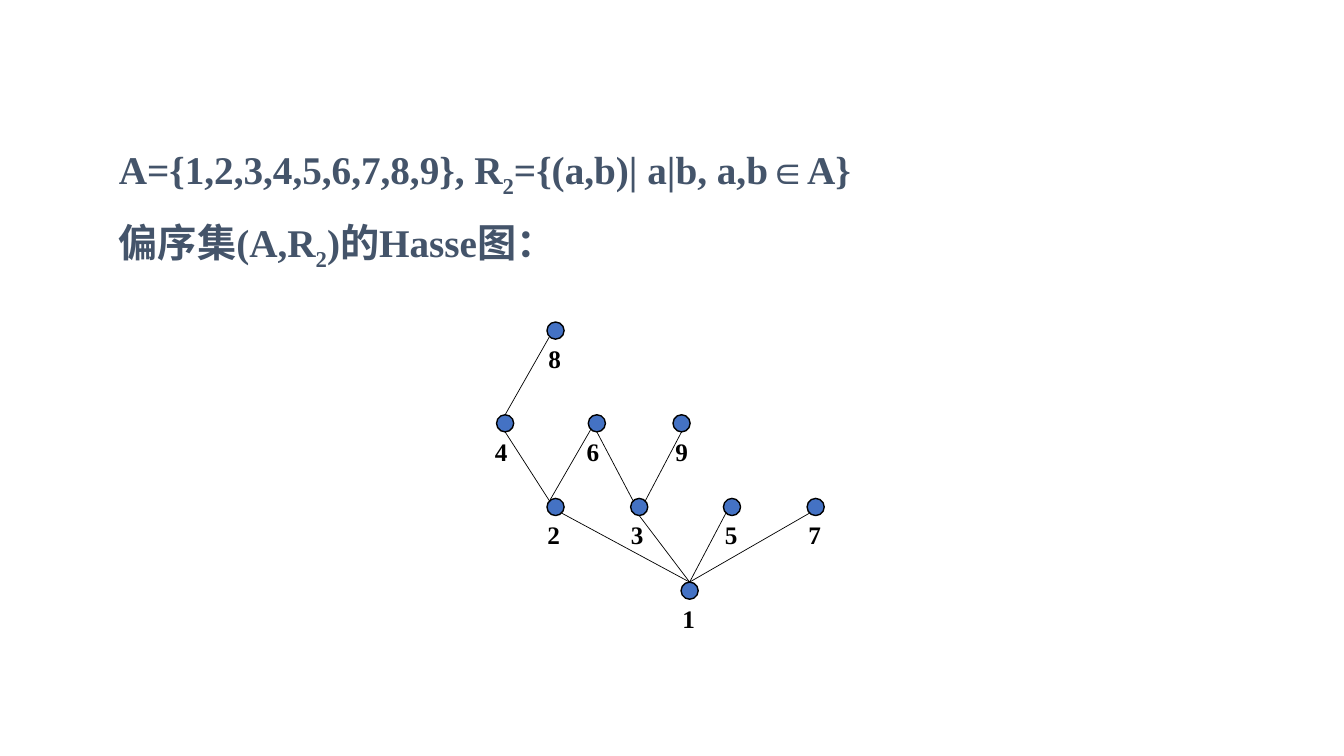
"""Build a slide with the Hasse diagram of divisibility on 1 to 9."""
from lxml import etree
from pptx import Presentation
from pptx import util as u
from pptx.dml.color import RGBColor
from pptx.enum import shapes, text
from pptx.oxml.ns import qn

COLORS = {"head": "44546A", "node": "4472C4", "ink": "000000"}
FONT = "Times New Roman"
SIZE = 0.17
DIAG = 0.06
HALF = SIZE / 2
SITES = {
    "top": (0, -HALF), "bottom": (0, HALF),
    "upleft": (-DIAG, -DIAG), "upright": (DIAG, -DIAG),
    "lowleft": (-DIAG, DIAG), "lowright": (DIAG, DIAG),
}
# Each node: centre x, centre y, left of label
NODES = {
    1: (6.84, 5.86, 6.67),
    2: (5.51, 5.03, 5.33), 3: (6.34, 5.03, 6.16),
    5: (7.26, 5.03, 7.09), 7: (8.09, 5.03, 7.92),
    4: (5.01, 4.2, 4.81), 6: (5.92, 4.2, 5.72), 9: (6.76, 4.2, 6.6),
    8: (5.51, 3.28, 5.34),
}
EDGES = [
    (1, "top", 2, "lowright"), (1, "top", 3, "bottom"),
    (1, "top", 5, "lowleft"), (1, "top", 7, "lowleft"),
    (2, "upleft", 4, "bottom"), (2, "upleft", 6, "lowleft"),
    (4, "top", 8, "lowleft"),
    (3, "upleft", 6, "bottom"), (3, "upright", 9, "bottom"),
]
LINES = [
    [("A={1,2,3,4,5,6,7,8,9}, R", False), ("2", True),
     ("={(a,b)| a|b, a,b∈A}", False)],
    [("偏序集(A,R", False), ("2", True), (")的Hasse图：", False)],
]


def color(name):
    """Return a named colour."""
    return RGBColor.from_string(COLORS[name])


def add_run(para, words, size, ink, sub=False):
    """Add a bold run, lowered if it is a subscript."""
    run = para.add_run()
    run.text = words
    font = run.font
    font.name, font.size, font.bold = FONT, u.Pt(size), True
    font.color.rgb = color(ink)
    if sub:
        run._r.get_or_add_rPr().set("baseline", "-25000")


def add_box(parent, left, top, width, height, wrap):
    """Add a text box and return its frame."""
    box = parent.add_textbox(*map(u.Inches, (left, top, width, height)))
    frame = box.text_frame
    frame.word_wrap = wrap
    frame.auto_size = text.MSO_AUTO_SIZE.SHAPE_TO_FIT_TEXT
    return frame


def add_head(slide):
    """Add the statement of the set and its relation."""
    frame = add_box(slide.shapes, 1.08, 1.39, 7.92, 1.28, True)
    for num, line in enumerate(LINES):
        para = frame.add_paragraph() if num else frame.paragraphs[0]
        para.alignment = text.PP_ALIGN.JUSTIFY
        space = etree.SubElement(para._p.get_or_add_pPr(), qn("a:spcBef"))
        etree.SubElement(space, qn("a:spcPct")).set("val", "50000")
        for words, sub in line:
            add_run(para, words, 28, "head", sub)


def add_node(parent, x, y):
    """Add a dot centred on a point."""
    dot = parent.add_shape(
        shapes.MSO_SHAPE.OVAL, u.Inches(x - HALF), u.Inches(y - HALF),
        u.Inches(SIZE), u.Inches(SIZE))
    dot.shadow.inherit = False
    dot.fill.solid()
    dot.fill.fore_color.rgb = color("node")
    dot.line.color.rgb = color("ink")
    dot.line.width = u.Pt(1)


def site(num, name):
    """Return the point on the rim of a node."""
    x, y, _ = NODES[num]
    dx, dy = SITES[name]
    return u.Inches(x + dx), u.Inches(y + dy)


def add_edge(parent, low, start, high, end):
    """Add a line from a lower node to a higher one."""
    line = parent.add_connector(
        shapes.MSO_CONNECTOR.STRAIGHT, *site(low, start), *site(high, end))
    line.line.color.rgb = color("ink")
    line.line.width = u.Pt(0.5)
    etree.SubElement(line._element.spPr, qn("a:effectLst"))


def add_label(parent, num, left, y):
    """Add the number below a node."""
    frame = add_box(parent, left, y + HALF - 0.01, 0.33, 0.4, False)
    add_run(frame.paragraphs[0], str(num), 18, "ink")


def main():
    """Build and save the slide."""
    deck = Presentation()
    deck.slide_width, deck.slide_height = u.Inches(13.33), u.Inches(7.5)
    slide = deck.slides.add_slide(deck.slide_layouts[6])
    add_head(slide)
    graph = slide.shapes.add_group_shape().shapes
    for x, y, _ in NODES.values():
        add_node(graph, x, y)
    for edge in EDGES:
        add_edge(graph, *edge)
    for num, (_, y, left) in NODES.items():
        add_label(graph, num, left, y)
    deck.save("out.pptx")


if __name__ == "__main__":
    main()
